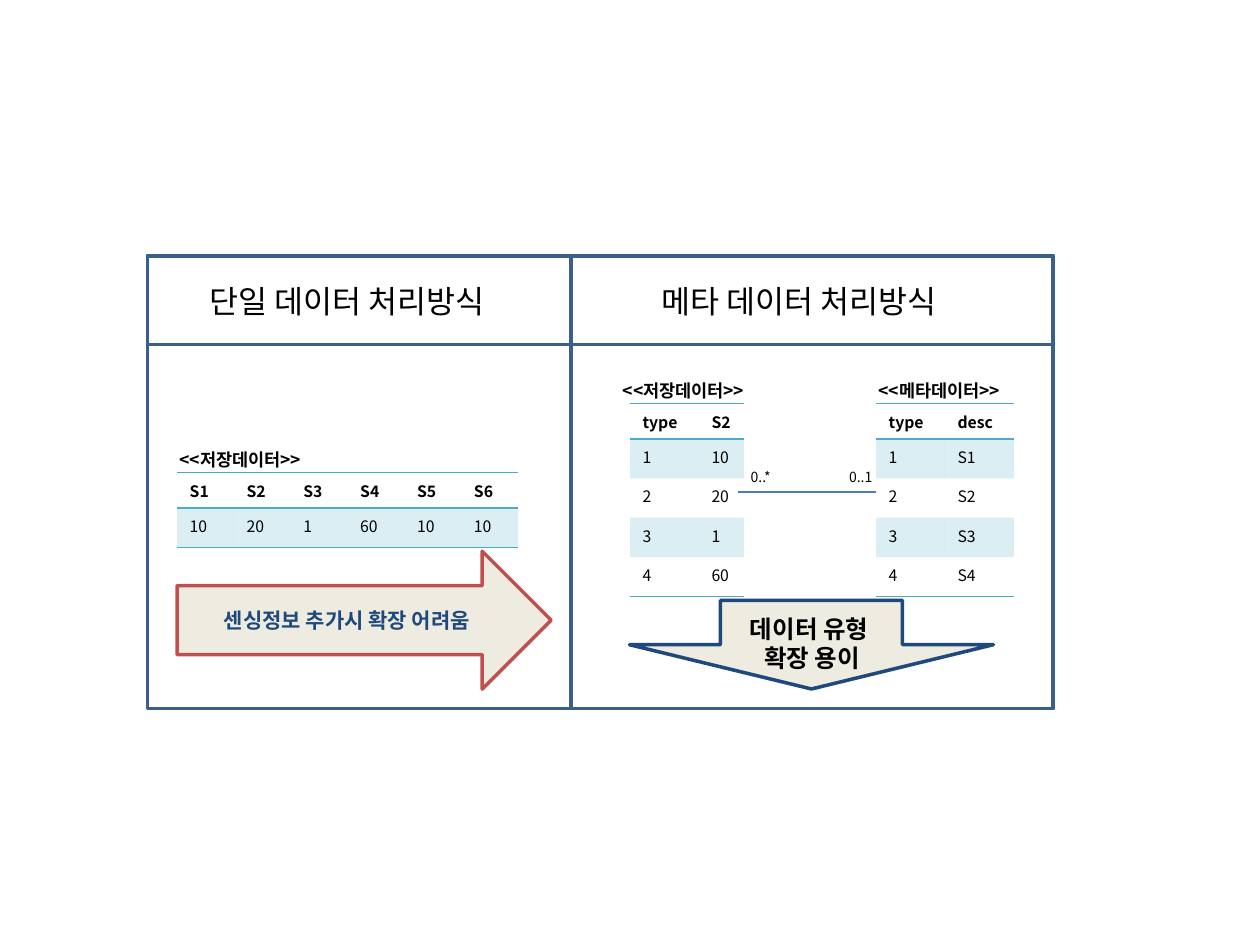
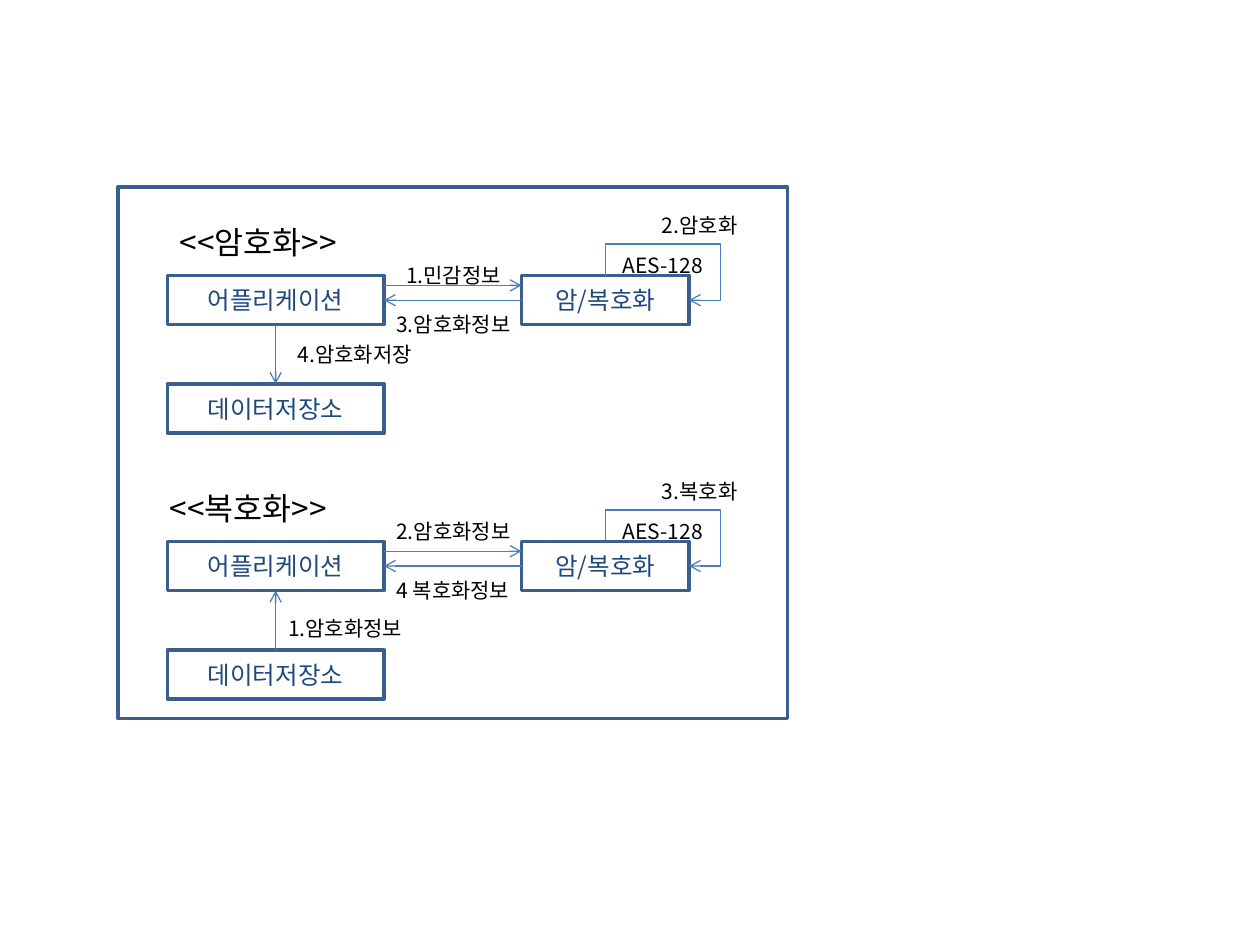
from copy import deepcopy
from dataclasses import dataclass

from pptx import Presentation
from pptx import util as u
from pptx.dml.color import RGBColor
from pptx.enum import shapes, text
from pptx.oxml.ns import qn
from lxml import etree

Pt = u.Pt
FONT = "Noto Sans CJK KR"
COLORS = {
    "frame": "3A5F8C", "link": "4B7EBC", "navy": "1F497D", "red": "C0504D",
    "beige": "EEECE1", "teal": "4BACC6", "black": "000000",
}
PLAIN_TABLE_STYLE = "{2D5ABB26-0587-4C30-8999-92F81FD0307C}"
CENTER = text.PP_ALIGN.CENTER
PRESET = shapes.MSO_SHAPE
LINK = shapes.MSO_CONNECTOR


@dataclass
class Label:
    text: str
    left: float
    top: float
    width: float
    size: float = 12
    bold: bool = False
    align: text.PP_ALIGN | None = None


@dataclass
class Box:
    left: float
    top: float
    width: float
    height: float
    text: str = ""
    size: float = 14
    bold: bool = False
    preset: PRESET = PRESET.RECTANGLE
    line: str = "frame"
    fill: str | None = None
    rotation: float = 0


@dataclass
class Grid:
    left: float
    top: float
    columns: list[float]
    rows: list[list[str]]


@dataclass
class Flow:
    """One encryption or decryption diagram; tops are relative to its offset."""
    offset: float
    store_to_app: bool
    labels: list[Label]


def rgb(name: str) -> RGBColor:
    return RGBColor.from_string(COLORS[name])


def apply_format(target, values: dict) -> None:
    for name, value in values.items():
        setattr(target, name, value)


def write(frame, words: str, size: float, bold=False, color="black", align=None) -> None:
    para = frame.paragraphs[0]
    para.text = words
    para.alignment = align
    for span in para.runs:
        apply_format(span.font, {"name": FONT, "size": Pt(size), "bold": bold})
        span.font.color.rgb = rgb(color)
        properties = span._r.get_or_add_rPr()
        etree.SubElement(properties, qn("a:ea"), typeface=FONT)
    for line_break in para._p.iter(qn("a:br")):
        line_break.append(deepcopy(properties))


def add_label(page, label: Label, offset: float = 0) -> None:
    lines = label.text.count("\v") + 1
    height = 1.2 * label.size * lines + 7.2
    box = page.shapes.add_textbox(
        Pt(label.left), Pt(label.top + offset), Pt(label.width), Pt(height))
    apply_format(box.text_frame, {
        "word_wrap": True, "auto_size": text.MSO_AUTO_SIZE.SHAPE_TO_FIT_TEXT})
    write(box.text_frame, label.text, label.size, label.bold, align=label.align)


def add_box(page, box: Box):
    shape = page.shapes.add_shape(
        box.preset, Pt(box.left), Pt(box.top), Pt(box.width), Pt(box.height))
    shape.shadow.inherit = False
    shape.rotation = box.rotation
    shape.line.color.rgb = rgb(box.line)
    shape.line.width = Pt(2)
    if box.fill:
        shape.fill.solid()
        shape.fill.fore_color.rgb = rgb(box.fill)
    else:
        shape.fill.background()
    if box.text:
        shape.text_frame.vertical_anchor = text.MSO_ANCHOR.MIDDLE
        write(shape.text_frame, box.text, box.size, box.bold, "navy", CENTER)
    return shape


def add_link(page, start=(0, 0), end=(0, 0), kind=LINK.STRAIGHT, arrow=True):
    link = page.shapes.add_connector(kind, *(Pt(value) for value in (*start, *end)))
    link.line.color.rgb = rgb("link")
    link.line.width = Pt(0.75)
    if arrow:
        etree.SubElement(link.line._get_or_add_ln(), qn("a:tailEnd"), type="arrow")
    etree.SubElement(link.element.spPr, qn("a:effectLst"))
    return link


def join(page, start, start_side: int, end, end_side: int) -> None:
    link = add_link(page)
    link.begin_connect(start, start_side)
    link.end_connect(end, end_side)


def add_loop(page, box: Box) -> None:
    """Arrow from the top of a box, around its corner, to its right side."""
    across, down = box.width / 2, box.height / 2
    middle_x, middle_y = box.left + 1.5 * across, box.top + down / 2
    loop = add_link(page, (middle_x + down / 2, middle_y - across / 2),
                    (middle_x - down / 2, middle_y + across / 2), LINK.ELBOW)
    loop.element.spPr.find(qn("a:xfrm")).set("rot", str(270 * 60000))
    geometry = loop.element.spPr.find(qn("a:prstGeom"))
    geometry.set("prst", "bentConnector4")
    adjusts = geometry.find(qn("a:avLst"))
    for name, value in (("adj1", -128000), ("adj2", 137600)):
        etree.SubElement(adjusts, qn("a:gd"), name=name, fmla=f"val {value}")


def add_border(cell, side: str) -> None:
    line = etree.SubElement(cell._tc.get_or_add_tcPr(), qn(f"a:{side}"), w=str(Pt(1)))
    fill = etree.SubElement(line, qn("a:solidFill"))
    etree.SubElement(fill, qn("a:srgbClr"), val=COLORS["teal"])


def add_grid(page, grid: Grid) -> None:
    heights = [11.25] + [22.5] * (len(grid.rows) - 1)
    frame = page.shapes.add_table(
        len(grid.rows), len(grid.columns), Pt(grid.left), Pt(grid.top),
        Pt(sum(grid.columns)), Pt(sum(heights)))
    frame.element.find(".//" + qn("a:tableStyleId")).text = PLAIN_TABLE_STYLE
    table = frame.table
    apply_format(table, {"first_row": False, "horz_banding": False})
    for column, width in zip(table.columns, grid.columns):
        column.width = Pt(width)
    for row, height in zip(table.rows, heights):
        row.height = Pt(height)
    for r, words in enumerate(grid.rows):
        for c, word in enumerate(words):
            cell = table.cell(r, c)
            write(cell.text_frame, word, 9, bold=r == 0)
            if r == 0:
                add_border(cell, "lnT")
            if r in (0, len(grid.rows) - 1):
                add_border(cell, "lnB")
            if r % 2:
                cell.fill.solid()
                cell.fill.fore_color.rgb = rgb("teal")
                tint = cell._tc.tcPr.find(".//" + qn("a:solidFill") + "[last()]")
                tint = cell._tc.tcPr.findall(qn("a:solidFill"))[-1][0]
                etree.SubElement(tint, qn("a:alpha"), val="20000")
            else:
                cell.fill.background()


def build_comparison(page) -> None:
    left, top, width, height = 84.4, 146.2, 517.5, 258.8
    add_box(page, Box(left, top, width, height))
    add_grid(page, Grid(101.2, 270, [32.5] * 6, [
        [f"S{number}" for number in range(1, 7)],
        ["10", "20", "1", "60", "10", "10"]]))
    add_box(page, Box(101.2, 315, 213.8, 78.8, "센싱정보 추가시 확장 어려움", 12, True,
                      PRESET.RIGHT_ARROW, "red", "beige"))
    add_grid(page, Grid(360, 230.6, [39.4, 25.7], [
        ["type", "S2"], ["1", "10"], ["2", "20"], ["3", "1"], ["4", "60"]]))
    add_grid(page, Grid(500.6, 230.6, [39.4, 39.4], [
        ["type", "desc"], *([str(n), f"S{n}"] for n in range(1, 5))]))
    add_box(page, Box(438.4, 264.4, 50.6, 208, preset=PRESET.RIGHT_ARROW,
                      line="navy", fill="beige", rotation=90))
    add_link(page, (421.9, 281.2), (500.6, 281.2), LINK.ELBOW, arrow=False)
    add_box(page, Box(left, top, width, 50.6))
    add_box(page, Box(left, top, 241.9, height))
    for label in (
        Label("데이터 유형 \v확장 용이", 405, 347.2, 118.1, 14, True, CENTER),
        Label("<<저장데이터>>", 348.8, 213.8, 101.2, 10, True),
        Label("<<저장데이터>>", 95.6, 253.1, 101.2, 10, True),
        Label("<<메타데이터>>", 495, 213.8, 101.2, 10, True),
        Label("0..*", 421.9, 264.4, 45, 8),
        Label("0..1", 478.1, 264.4, 39.4, 8),
        Label("단일 데이터 처리방식", 112.5, 157.5, 230.4, 18),
        Label("메타 데이터 처리방식", 371.2, 157.5, 230.4, 18),
    ):
        add_label(page, label)


FLOWS = [
    Flow(0, False, [
        Label("<<암호화>>", 95.6, 123.8, 163.1, 18),
        Label("1.민감정보", 225, 146.2, 78.8),
        Label("2.암호화", 371.2, 118.1, 67.5),
        Label("3.암호화정보", 219.4, 174.4, 84.4),
        Label("4.암호화저장", 163.1, 191.9, 84.4),
    ]),
    Flow(151.9, True, [
        Label("<<복호화>>", 90, 123.8, 163.1, 18),
        Label("1.암호화정보", 157.5, 196.6, 84.4),
        Label("2.암호화정보", 219.4, 141, 84.4),
        Label("3.복호화", 371.2, 118.1, 67.5),
        Label("4 복호화정보", 219.4, 174.4, 106.9),
    ]),
]


def build_flow(page, flow: Flow) -> None:
    top = 157.5 + flow.offset
    app = add_box(page, Box(95.6, top, 123.8, 28.1, "어플리케이션"))
    store = add_box(page, Box(95.6, top + 61.9, 123.8, 28.1, "데이터저장소"))
    cipher_box = Box(298.1, top, 95.6, 28.1, "암/복호화")
    cipher = add_box(page, cipher_box)
    add_link(page, (219.4, top + 5.6), (298.1, top + 5.6))
    join(page, cipher, 1, app, 3)
    if flow.store_to_app:
        join(page, store, 0, app, 2)
    else:
        join(page, app, 2, store, 0)
    add_loop(page, cipher_box)
    for label in (*flow.labels, Label("AES-128", 348.8, 140.8, 67.5)):
        add_label(page, label, flow.offset)


def main() -> None:
    deck = Presentation()
    apply_format(deck, {"slide_width": Pt(720), "slide_height": Pt(540)})
    blank = deck.slide_layouts[6]
    build_comparison(deck.slides.add_slide(blank))
    page = deck.slides.add_slide(blank)
    add_box(page, Box(67.5, 106.9, 382.5, 303.8))
    for flow in FLOWS:
        build_flow(page, flow)
    deck.save("out.pptx")


if __name__ == "__main__":
    main()
